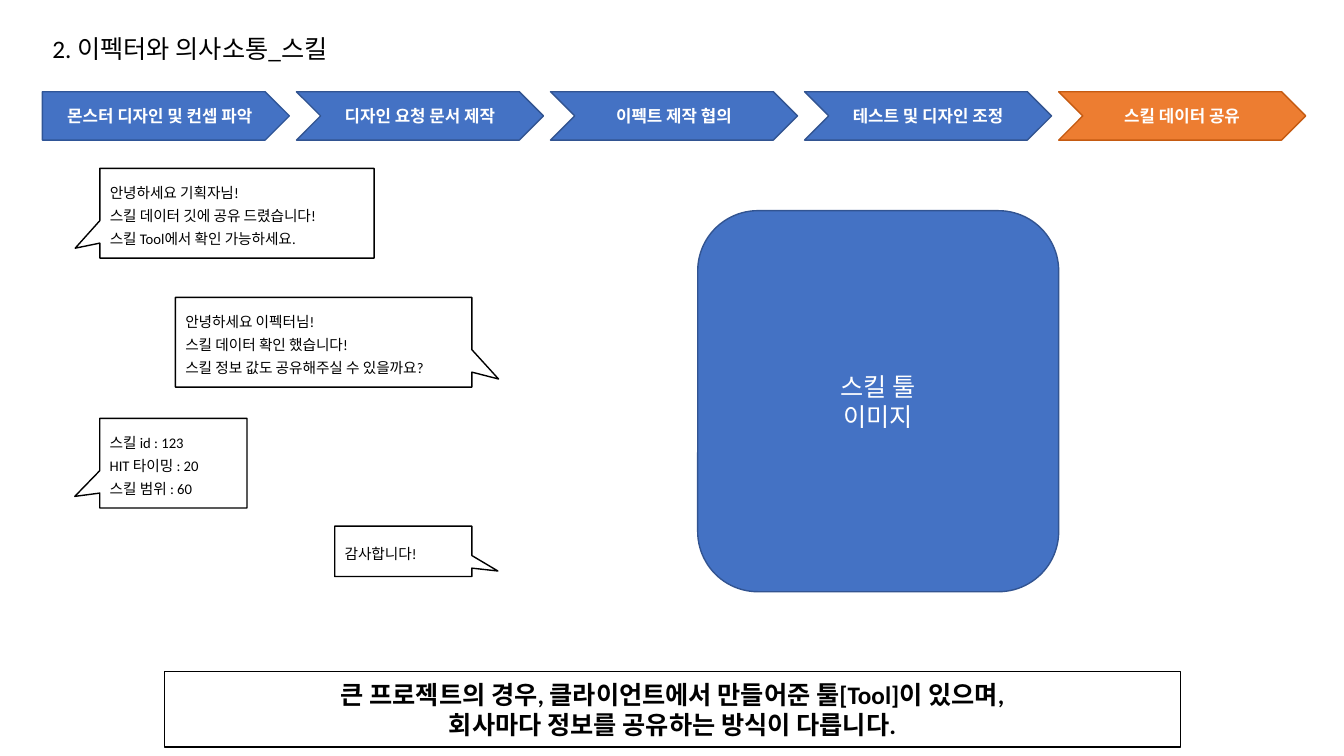
"""Build the slide on sharing skill data with the effect artist."""
from dataclasses import dataclass

from pptx import Presentation
from pptx.dml.color import RGBColor
from pptx.enum.shapes import MSO_SHAPE
from pptx.enum.text import MSO_ANCHOR, MSO_AUTO_SIZE, PP_ALIGN
from pptx.util import Inches, Pt

RECT, ROUND = MSO_SHAPE.RECTANGLE, MSO_SHAPE.ROUNDED_RECTANGLE
PLATE, ARROW = MSO_SHAPE.PENTAGON, MSO_SHAPE.CHEVRON
BUBBLE = MSO_SHAPE.RECTANGULAR_CALLOUT
LEFT, CENTER = PP_ALIGN.LEFT, PP_ALIGN.CENTER
TOP, MIDDLE = MSO_ANCHOR.TOP, MSO_ANCHOR.MIDDLE
FIT = MSO_AUTO_SIZE.SHAPE_TO_FIT_TEXT


@dataclass(frozen=True)
class Theme:
    font: str = "Calibri"
    black: str = "000000"
    white: str = "FFFFFF"
    blue: str = "4472C4"
    navy: str = "325491"
    deep: str = "2F5597"
    orange: str = "ED7D31"
    rust: str = "C55A11"
    large: float = 18
    step: float = 12
    chat: float = 10.5


THEME = Theme()


def write(frame, text, size, color, bold=False, align=CENTER, space=None):
    frame.text = text
    for para in frame.paragraphs:
        para.alignment = align
        para.line_spacing = space
        para.font.name = THEME.font
        para.font.size = Pt(size)
        para.font.bold = bold
        para.font.color.rgb = RGBColor.from_string(color)


def draw(kind, box, fill, line):
    shape = slide.shapes.add_shape(kind, *map(Inches, box))
    shape.shadow.inherit = False
    shape.fill.solid()
    shape.fill.fore_color.rgb = RGBColor.from_string(fill)
    shape.line.color.rgb = RGBColor.from_string(line)
    shape.line.width = Pt(1)
    shape.text_frame.word_wrap = True
    shape.text_frame.vertical_anchor = MIDDLE
    return shape


deck = Presentation()
deck.slide_width, deck.slide_height = Inches(13.33), Inches(7.5)
slide = deck.slides.add_slide(deck.slide_layouts[5])

title = slide.shapes.title
title.left, title.top = Inches(0.42), Inches(0.28)
title.width, title.height = Inches(3.16), Inches(0.4)
frame = title.text_frame
write(frame, "2. 이펙터와 의사소통_스킬", THEME.large, THEME.black, align=LEFT)
frame.word_wrap = False
frame.auto_size = FIT
frame.vertical_anchor = TOP

steps = [
    ("몬스터 디자인 및 컨셉 파악", PLATE, THEME.blue, THEME.deep),
    ("디자인 요청 문서 제작", ARROW, THEME.blue, THEME.navy),
    ("이펙트 제작 협의", ARROW, THEME.blue, THEME.navy),
    ("테스트 및 디자인 조정", ARROW, THEME.blue, THEME.navy),
    ("스킬 데이터 공유", ARROW, THEME.orange, THEME.rust),
]
for i, (text, kind, fill, line) in enumerate(steps):
    step = draw(kind, (0.42 + 2.52 * i, 0.91, 2.45, 0.48), fill, line)
    write(step.text_frame, text, THEME.step, THEME.white, bold=True)

chats = [
    ((0.99, 1.67, 2.72, 0.89), (-0.59, 0.39),
     "안녕하세요 기획자님!\n스킬 데이터 깃에 공유 드렸습니다!\n스킬 Tool에서 확인 가능하세요."),
    ((1.74, 2.95, 2.94, 0.89), (0.59, 0.41),
     "안녕하세요 이펙터님!\n스킬 데이터 확인 했습니다!\n스킬 정보 값도 공유해주실 수 있을까요?"),
    ((0.99, 4.15, 1.46, 0.89), (-0.67, 0.37),
     "스킬 id : 123\nHIT 타이밍 : 20\n스킬 범위 : 60"),
    ((3.32, 5.22, 1.36, 0.5), (0.69, 0.39), "감사합니다!"),
]
for box, tail, text in chats:
    chat = draw(BUBBLE, box, THEME.white, THEME.black)
    chat.adjustments[0], chat.adjustments[1] = tail
    write(chat.text_frame, text, THEME.chat, THEME.black, align=LEFT, space=1.3)

tool = draw(ROUND, (6.92, 2.09, 3.58, 3.78), THEME.blue, THEME.navy)
write(tool.text_frame, "스킬 툴\n이미지", THEME.large, THEME.white)

note = draw(RECT, (1.63, 6.66, 10.08, 0.75), THEME.white, THEME.black)
write(note.text_frame,
      "큰 프로젝트의 경우, 클라이언트에서 만들어준 툴[Tool]이 있으며,\n"
      "회사마다 정보를 공유하는 방식이 다릅니다.",
      THEME.large, THEME.black, bold=True)

deck.save("out.pptx")
